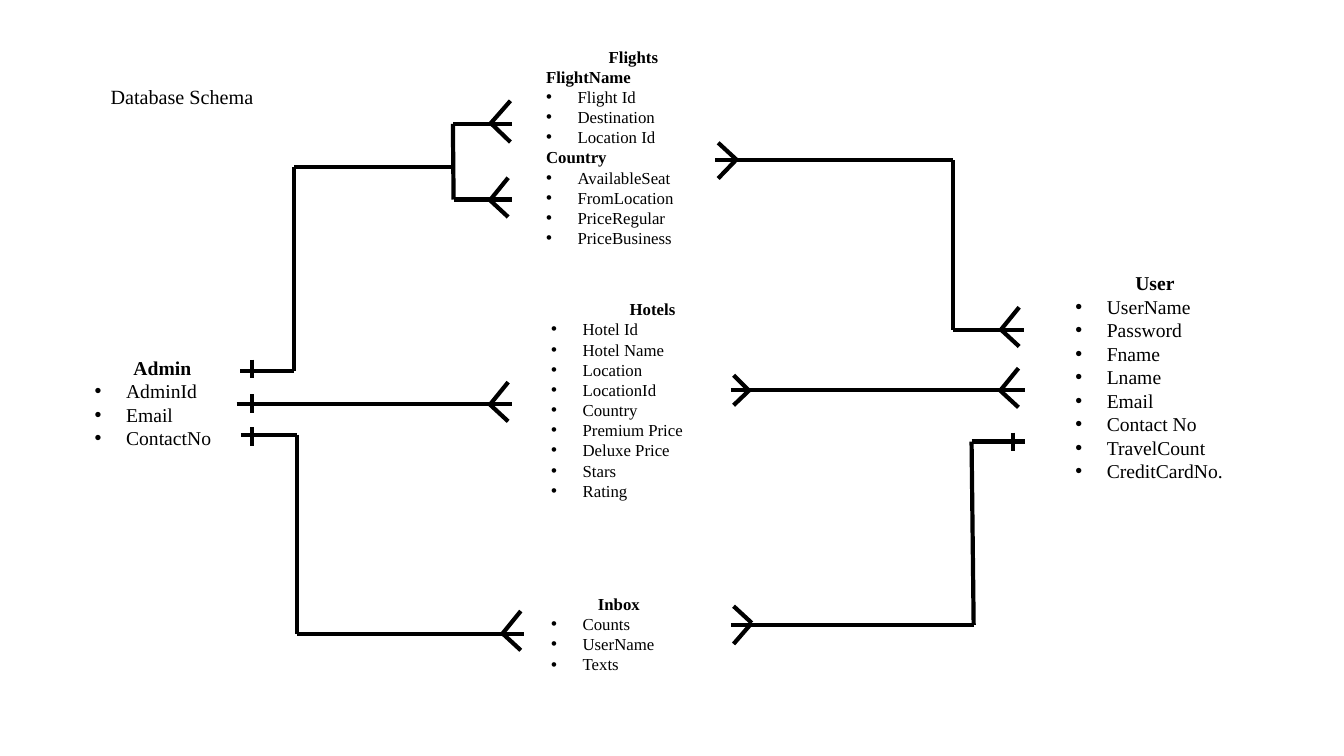
from dataclasses import dataclass
from itertools import pairwise

from lxml.etree import SubElement
from pptx import Presentation
from pptx.dml.color import RGBColor
from pptx.enum.shapes import MSO_CONNECTOR as Connector
from pptx.enum.text import MSO_ANCHOR as Anchor, MSO_AUTO_SIZE as AutoSize, PP_ALIGN as Align
from pptx.oxml.ns import qn
from pptx.util import Pt

BLACK = RGBColor(0, 0, 0)
FONT = "Times New Roman"
INDENT = Pt(22.5)
BAR_HALF = 6.7


@dataclass
class Box:
    """A region of the slide, in points."""
    left: float
    top: float
    width: float
    height: float


def style_text(para, size, bold=False):
    """Format every run of a paragraph."""
    for span in para.runs:
        span.font.name = FONT
        span.font.size = Pt(size)
        span.font.bold = bold
        span.font.color.rgb = BLACK


def add_bullet(para):
    """Give a paragraph a hanging bullet."""
    props = para._p.get_or_add_pPr()
    props.set("marL", str(INDENT))
    props.set("indent", str(-INDENT))
    SubElement(props, qn("a:buFont"), typeface="Arial")
    SubElement(props, qn("a:buChar"), char="•")


def draw_title(page, box, text):
    """Place the slide title in its placeholder."""
    title = page.shapes.title
    title.left, title.top = Pt(box.left), Pt(box.top)
    title.width, title.height = Pt(box.width), Pt(box.height)
    frame = title.text_frame
    frame.text = text
    frame.auto_size = AutoSize.NONE
    frame.vertical_anchor = Anchor.BOTTOM
    para = frame.paragraphs[0]
    para.alignment = Align.CENTER
    para.line_spacing = 0.9
    style_text(para, 14.4)


def draw_entity(page, box, name, fields, size, subheads=()):
    """Write an entity name above its bulleted fields."""
    shape = page.shapes.add_textbox(Pt(box.left), Pt(box.top), Pt(box.width), Pt(box.height))
    frame = shape.text_frame
    frame.word_wrap = True
    frame.auto_size = AutoSize.SHAPE_TO_FIT_TEXT
    frame.text = "\n".join([name, *fields])
    heading, *rows = frame.paragraphs
    heading.alignment = Align.CENTER
    style_text(heading, size, bold=True)
    for para in rows:
        para.alignment = Align.JUSTIFY
        is_subhead = para.text in subheads
        style_text(para, size, bold=is_subhead)
        if not is_subhead:
            add_bullet(para)


def draw_line(page, box, start, end):
    """Draw one thick line between two points of the box."""
    line = page.shapes.add_connector(
        Connector.STRAIGHT,
        Pt(box.left + start[0]), Pt(box.top + start[1]),
        Pt(box.left + end[0]), Pt(box.top + end[1]))
    line.line.color.rgb = BLACK
    line.line.width = Pt(3)
    SubElement(line._element.spPr, qn("a:effectLst"))


def draw_relations(page, box, routes, feet, bars):
    """Draw routes with crow's feet (tip, reach, rise, drop) and single bars."""
    for route in routes:
        for start, end in pairwise(route):
            draw_line(page, box, start, end)
    for x, y, reach, rise, drop in feet:
        draw_line(page, box, (x + reach, y - rise), (x, y))
        draw_line(page, box, (x, y), (x + reach, y + drop))
    for x, y in bars:
        draw_line(page, box, (x, y - BAR_HALF), (x, y + BAR_HALF))


ENTITIES = [
    (Box(60.5, 250.5, 111, 75), "Admin", ["AdminId", "Email", "ContactNo"], 14),
    (Box(761, 190, 128, 160), "User",
     ["UserName", "Password", "Fname", "Lname", "Email", "Contact No",
      "TravelCount", "CreditCardNo."], 14),
    (Box(386.6, 210, 159, 152.6), "Hotels",
     ["Hotel Id", "Hotel Name", "Location", "LocationId", "Country",
      "Premium Price", "Deluxe Price", "Stars", "Rating"], 12),
    (Box(386.6, 420.5, 111, 65.5), "Inbox", ["Counts", "UserName", "Texts"], 12),
    (Box(383, 29.5, 139, 152.6), "Flights",
     ["FlightName", "Flight Id", "Destination", "Location Id", "Country",
      "AvailableSeat", "FromLocation", "PriceRegular", "PriceBusiness"], 12,
     ("FlightName", "Country")),
]

ADMIN_ROUTES = [
    [(2.5, 193), (41.3, 193), (41.3, 47.5), (154.5, 47.5)],
    [(196.8, 16.5), (154.5, 16.5), (155, 70.5), (196.8, 70.5)],
    [(0, 216.7), (196.8, 216.7)],
    [(3, 238.5), (43.4, 238.5), (43.4, 381), (205.4, 381)],
]
ADMIN_FEET = [(181.6, 16, 14, 16, 13.5), (181, 71, 13, 16, 12),
              (181, 217, 13, 16, 12), (190, 380.5, 13, 16, 12)]
ADMIN_BARS = [(11, 191.5), (11, 216.4), (11, 239.8)]

USER_ROUTES = [
    [(0, 42.5), (170, 42.5), (170, 163.5), (220.5, 163.5)],
    [(11, 206.6), (221, 206.6)],
    [(11, 374.4), (184.5, 374.4), (183, 243.4), (221, 243.4)],
]
USER_FEET = [(15, 42, -13, 12, 13.5), (24, 207, -11, 11, 10.5),
             (26, 373, -13, 12, 15), (204, 163.5, 13, 16, 12),
             (203.5, 207, 13, 16, 12)]
USER_BARS = [(212.6, 243.7)]


def build_schema(deck):
    """Add the database schema slide."""
    page = deck.slides.add_slide(deck.slide_layouts[5])
    draw_title(page, Box(60.5, 57.6, 139, 24), "Database Schema")
    for entity in ENTITIES:
        draw_entity(page, *entity)
    draw_relations(page, Box(169, 72, 206, 381), ADMIN_ROUTES, ADMIN_FEET, ADMIN_BARS)
    draw_relations(page, Box(511, 72, 221, 381), USER_ROUTES, USER_FEET, USER_BARS)


deck = Presentation()
deck.slide_width, deck.slide_height = Pt(960), Pt(540)
build_schema(deck)
deck.save("out.pptx")
